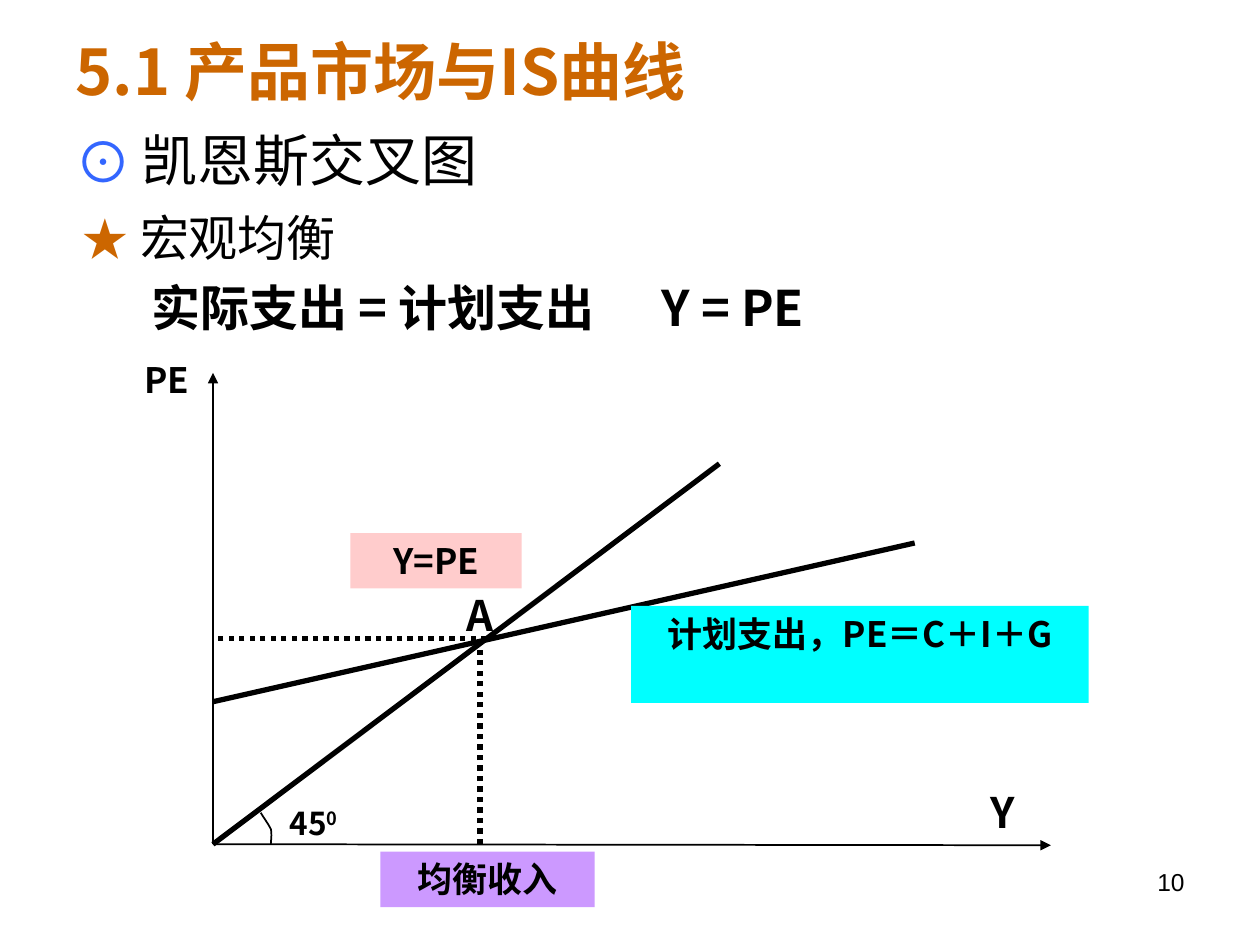
from lxml import etree
from pptx import Presentation
from pptx.dml.color import RGBColor
from pptx.enum import dml, shapes, text
from pptx.oxml.ns import qn
from pptx.util import Pt

ORANGE = RGBColor(0xCC, 0x66, 0x00)
BLUE = RGBColor(0x33, 0x66, 0xFF)
BLACK = RGBColor(0, 0, 0)
PINK = RGBColor(0xFF, 0xCC, 0xCC)
CYAN = RGBColor(0, 0xFF, 0xFF)
PURPLE = RGBColor(0xCC, 0x99, 0xFF)
CJK = "Noto Sans CJK SC"
LEFT, CENTER, RIGHT = text.PP_ALIGN.LEFT, text.PP_ALIGN.CENTER, text.PP_ALIGN.RIGHT


def write(paragraph, content, size=20, bold=True, color=BLACK, font=CJK,
          align=None, baseline=None):
    """Append a formatted run to a paragraph."""
    if align is not None:
        paragraph.alignment = align
    run = paragraph.add_run()
    run.text = content
    run.font.size, run.font.bold, run.font.name = Pt(size), bold, font
    run.font.color.rgb = color
    properties = run._r.get_or_add_rPr()
    etree.SubElement(properties, qn("a:ea")).set("typeface", font)
    if baseline:
        properties.set("baseline", str(baseline * 1000))


def set_bullet(paragraph, char, color, percent, margin, indent):
    properties = paragraph._p.get_or_add_pPr()
    properties.set("marL", str(Pt(margin)))
    properties.set("indent", str(Pt(indent)))
    bullet_color = etree.SubElement(properties, qn("a:buClr"))
    etree.SubElement(bullet_color, qn("a:srgbClr")).set("val", str(color))
    etree.SubElement(properties, qn("a:buSzPct")).set("val", str(percent * 1000))
    etree.SubElement(properties, qn("a:buFont")).set("typeface", CJK)
    etree.SubElement(properties, qn("a:buChar")).set("char", char)


def set_tabs(paragraph, *positions):
    tab_list = etree.SubElement(paragraph._p.get_or_add_pPr(), qn("a:tabLst"))
    for position in positions:
        tab = etree.SubElement(tab_list, qn("a:tab"))
        tab.set("pos", str(Pt(position)))
        tab.set("algn", "l")


def bezier(p0, p1, p2, p3, steps=8):
    """Points along a cubic curve, start point included."""
    for step in range(steps + 1):
        t = step / steps
        weights = ((1 - t) ** 3, 3 * t * (1 - t) ** 2, 3 * t ** 2 * (1 - t), t ** 3)
        yield tuple(sum(w * p[axis] for w, p in zip(weights, (p0, p1, p2, p3)))
                    for axis in (0, 1))


class Deck:
    def __init__(self, width, height):
        self.presentation = Presentation()
        self.presentation.slide_width = Pt(width)
        self.presentation.slide_height = Pt(height)
        self.slide = self.presentation.slides.add_slide(
            self.presentation.slide_layouts[5])

    def title(self, content, left, top, width, height):
        shape = self.slide.shapes.title
        shape.left, shape.top, shape.width, shape.height = map(
            Pt, (left, top, width, height))
        shape.text_frame.vertical_anchor = text.MSO_ANCHOR.MIDDLE
        write(shape.text_frame.paragraphs[0], content, 36, color=ORANGE, align=LEFT)

    def text_box(self, left, top, width, height):
        shape = self.slide.shapes.add_textbox(*map(Pt, (left, top, width, height)))
        shape.text_frame.word_wrap = True
        return shape.text_frame

    def label(self, content, left, top, width, height, align=CENTER, **style):
        paragraph = self.text_box(left, top, width, height).paragraphs[0]
        write(paragraph, content, align=align, **style)
        return paragraph

    def box(self, content, left, top, width, height, fill):
        shape = self.slide.shapes.add_shape(
            shapes.MSO_SHAPE.RECTANGLE, *map(Pt, (left, top, width, height)))
        shape.shadow.inherit = False
        shape.fill.solid()
        shape.fill.fore_color.rgb = fill
        shape.line.fill.background()
        shape.text_frame.word_wrap = True
        shape.text_frame.vertical_anchor = text.MSO_ANCHOR.TOP
        write(shape.text_frame.paragraphs[0], content, align=CENTER)

    def line(self, start, end, width=3, dotted=False, arrow=False):
        connector = self.slide.shapes.add_connector(
            shapes.MSO_CONNECTOR.STRAIGHT, *map(Pt, start + end))
        connector.line.color.rgb = BLACK
        connector.line.width = Pt(width)
        if dotted:
            connector.line.dash_style = dml.MSO_LINE.ROUND_DOT
        if arrow:
            outline = connector.line._get_or_add_ln()
            etree.SubElement(outline, qn("a:tailEnd")).set("type", "triangle")
        etree.SubElement(connector._element.spPr, qn("a:effectLst"))

    def curve(self, points, width=1):
        points = [(Pt(x), Pt(y)) for x, y in points]
        builder = self.slide.shapes.build_freeform(*points[0])
        builder.add_line_segments(points[1:], close=False)
        shape = builder.convert_to_shape()
        shape.shadow.inherit = False
        shape.fill.background()
        shape.line.color.rgb = BLACK
        shape.line.width = Pt(width)


def main():
    deck = Deck(720, 540)
    deck.title("5.1 产品市场与IS曲线", 36, 3.6, 648, 73.4)

    # Outline text
    frame = deck.text_box(36, 65.5, 642, 130)
    topic = frame.paragraphs[0]
    set_bullet(topic, "⊙", BLUE, 100, 38, -38)
    topic.line_spacing = Pt(41)
    write(topic, "凯恩斯交叉图", 32, bold=False)

    subtopic = frame.add_paragraph()
    set_bullet(subtopic, "★", ORANGE, 93, 37, -33)
    subtopic.line_spacing, subtopic.space_before = Pt(35), Pt(7)
    write(subtopic, "宏观均衡", 28, bold=False)

    condition = frame.add_paragraph()
    set_tabs(condition, 43.5, 335)
    condition.line_spacing, condition.space_before = Pt(33), Pt(7)
    write(condition, "\t实际支出 = 计划支出\tY = PE", 28)

    # Axes
    origin = (121.7, 482.4)
    deck.line(origin, (121.7, 213.1), width=1, arrow=True)
    deck.line(origin, (600.5, 483), width=1, arrow=True)

    # Planned spending, 45-degree line and equilibrium guides
    deck.line((121.7, 401), (522.7, 310.3))
    deck.line(origin, (411.1, 265))
    deck.line((274.3, 482.4), (274.3, 365), dotted=True)
    deck.line((277.9, 365), (121.7, 365), dotted=True)

    # Angle mark
    bend = (154.8, 473.8)
    deck.curve([*bezier((149, 464.4), (151.2, 468), (153.4, 470.9), bend),
                *bezier(bend, (155.5, 476.6), (154.8, 481), (154.8, 482.4))])

    # Labels
    deck.box("Y=PE", 200.2, 304.6, 97.9, 31.7, PINK)
    deck.box("计划支出，PE＝C＋I＋G", 360.7, 346.3, 261.4, 55.4, CYAN)
    deck.box("均衡收入", 217.4, 486.7, 122.4, 31.7, PURPLE)
    deck.label("PE", 31, 201.6, 128.9, 31.7)
    deck.label("Y", 548, 445.7, 50, 36, size=24)
    deck.label("A", 257.8, 333.4, 33.1, 36, size=24)
    angle = deck.label("45", 149, 455.8, 60.5, 28.8, size=18)
    write(angle, "0", 18, baseline=30)

    # Page number
    deck.label("10", 516.2, 491.8, 167.8, 37.4, align=RIGHT,
               size=14, bold=False, font="Arial")

    deck.presentation.save("out.pptx")


if __name__ == "__main__":
    main()
